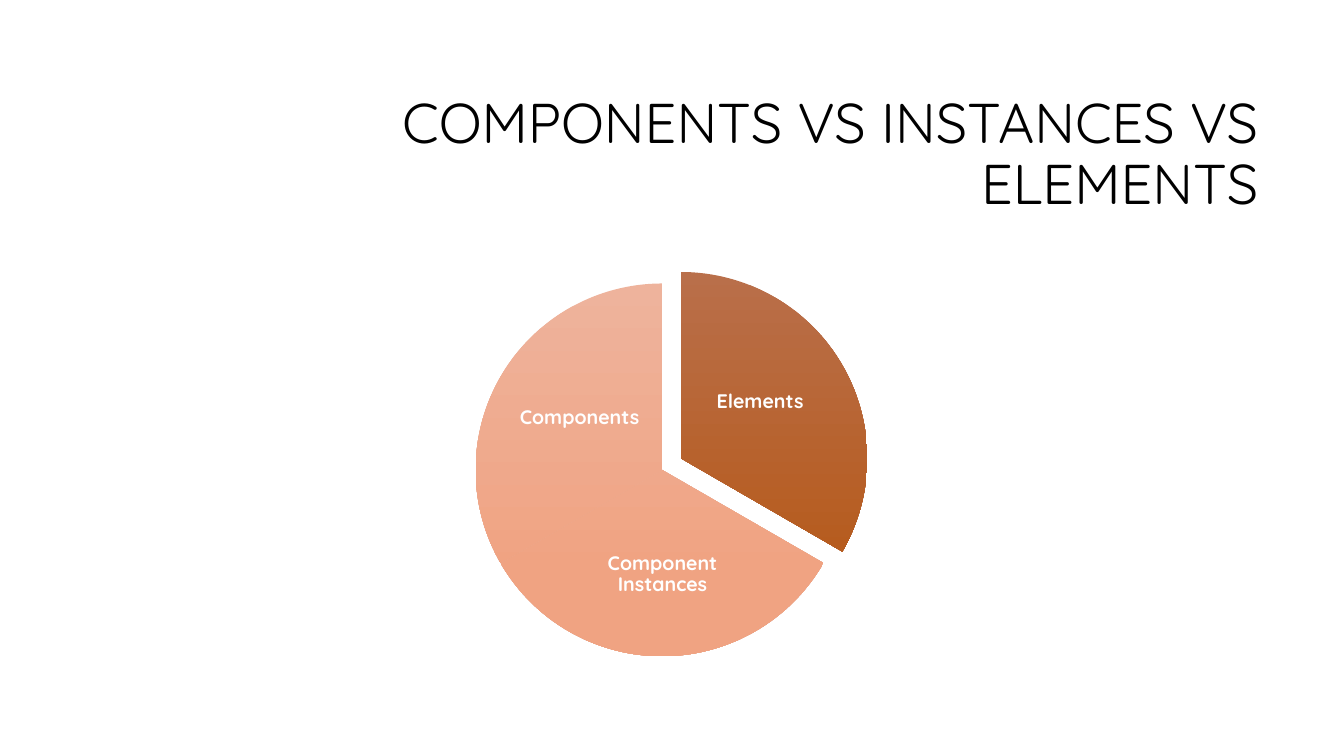
import pptx
import pptx.util
from dataclasses import dataclass
from pptx.dml.color import RGBColor
from pptx.enum.shapes import MSO_SHAPE
from pptx.enum.text import MSO_ANCHOR, MSO_AUTO_SIZE, PP_ALIGN


@dataclass(frozen=True)
class Theme:
    font: str = "Quicksand"
    title_size: int = 40
    label_size: int = 14
    background: str = "FFFFFF"
    title: str = "000000"
    label: str = "FFFFFF"
    brown: tuple = ("B96F4A", "B65B1D")
    peach: tuple = ("EEB39C", "F0A382")
    gradient_end: float = 0.78


THEME = Theme()
EMU_PER_PX = 9525  # 96 px to the inch
PIE_SIZE = 355


def px(n):
    return pptx.util.Emu(n * EMU_PER_PX)


def place(sp, x, y, w, h):
    sp.left, sp.top, sp.width, sp.height = px(x), px(y), px(w), px(h)


def set_text(sp, text, *, size, color, align, bold=False, inset=None):
    tf = sp.text_frame
    tf.word_wrap = True
    tf.auto_size = MSO_AUTO_SIZE.NONE
    tf.vertical_anchor = MSO_ANCHOR.MIDDLE
    if inset is not None:
        tf.margin_left = tf.margin_right = px(inset)
        tf.margin_top = tf.margin_bottom = px(inset)
    p = tf.paragraphs[0]
    p.alignment = align
    p.line_spacing = 0.9
    r = p.add_run()
    r.text = text
    r.font.name = THEME.font
    r.font.size = pptx.util.Pt(size)
    r.font.bold = bold
    r.font.color.rgb = RGBColor.from_string(color)


def add_title(s, x, y, w, h):
    sp = s.shapes.title
    place(sp, x, y, w, h)
    set_text(sp, "COMPONENTS VS INSTANCES VS ELEMENTS", size=THEME.title_size,
             color=THEME.title, align=PP_ALIGN.RIGHT)


def add_slice(group, x, y, start, end, colors):
    sp = group.shapes.add_shape(MSO_SHAPE.PIE, px(x), px(y),
                                px(PIE_SIZE), px(PIE_SIZE))
    # Pie angles count in 60000ths of a degree, adjustments in 100000ths
    sp.adjustments[0] = start * 0.6
    sp.adjustments[1] = end * 0.6
    sp.shadow.inherit = False
    sp.line.fill.background()
    sp.fill.gradient()
    sp.fill.gradient_angle = 270  # top to bottom
    stops = zip(sp.fill.gradient_stops, colors, (0, THEME.gradient_end))
    for stop, color, position in stops:
        stop.color.rgb = RGBColor.from_string(color)
        stop.position = position


def add_pie(s, x, y):
    # Slice offset, start and end angle, colours, label, label box
    slices = [
        (18, -11, 270, 30, THEME.brown, "Elements", (211, 54, 120, 118)),
        (0, 0, 30, 150, THEME.peach, "Component Instances", (98, 223, 160, 109)),
        (0, 0, 150, 270, THEME.peach, "Components", (39, 69, 120, 118)),
    ]
    group = s.shapes.add_group_shape()
    for dx, dy, start, end, colors, text, (lx, ly, w, h) in slices:
        add_slice(group, x + dx, y + dy, start, end, colors)
        label = group.shapes.add_textbox(px(x + lx), px(y + ly), px(w), px(h))
        set_text(label, text, size=THEME.label_size, color=THEME.label,
                 align=PP_ALIGN.CENTER, bold=True, inset=2)


def main():
    prs = pptx.Presentation()
    prs.slide_width, prs.slide_height = px(1280), px(720)
    s = prs.slides.add_slide(prs.slide_layouts.get_by_name("Title Only"))
    s.background.fill.solid()
    s.background.fill.fore_color.rgb = RGBColor.from_string(THEME.background)
    add_title(s, 135, 81, 1073, 135)
    add_pie(s, 453, 270)
    prs.save("out.pptx")


if __name__ == "__main__":
    main()
